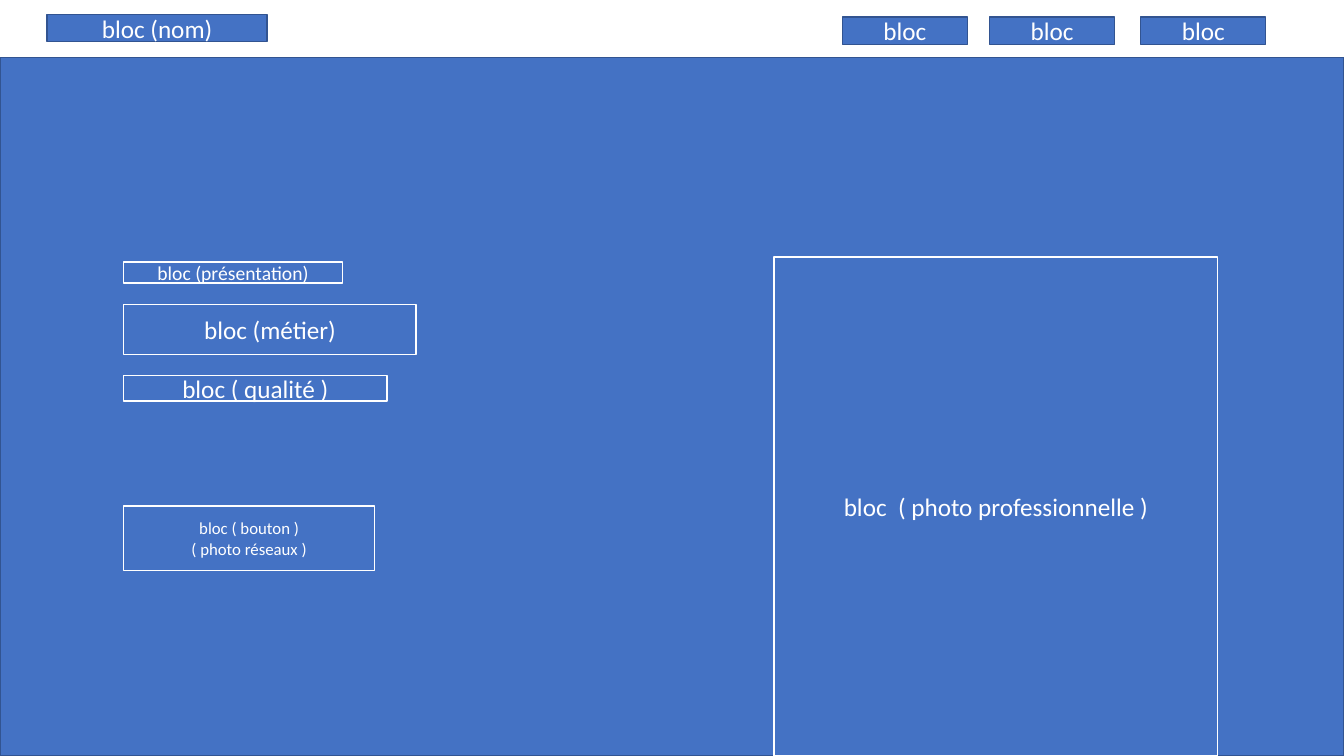
from dataclasses import dataclass

import pptx
import pptx.dml.color
import pptx.enum.shapes
import pptx.enum.text
import pptx.util

Cm = pptx.util.Cm
Pt = pptx.util.Pt


@dataclass(frozen=True)
class Theme:
    font: str = "Calibri"
    blue: str = "4472C4"
    navy: str = "325491"
    white: str = "FFFFFF"
    large: int = 18
    medium: int = 14
    small: int = 12
    border: int = 1


@dataclass(frozen=True)
class Box:
    left: float
    top: float
    width: float
    height: float

    def inner(self, left, top, width, height):
        return Box(self.left + left, self.top + top, width, height)


THEME = Theme()
PAGE_BOX = Box(0, 0, 33.87, 19.05)
HEADER_HEIGHT = 1.45


def color(name):
    return pptx.dml.color.RGBColor.from_string(name)


def add_block(page, box, lines, border, size=THEME.large):
    block = page.shapes.add_shape(
        pptx.enum.shapes.MSO_SHAPE.RECTANGLE,
        Cm(box.left), Cm(box.top), Cm(box.width), Cm(box.height),
    )
    block.shadow.inherit = False
    block.fill.solid()
    block.fill.fore_color.rgb = color(THEME.blue)
    block.line.color.rgb = color(border)
    block.line.width = Pt(THEME.border)
    frame = block.text_frame
    frame.word_wrap = True
    frame.vertical_anchor = pptx.enum.text.MSO_ANCHOR.MIDDLE
    for index, line in enumerate(lines):
        para = frame.add_paragraph() if index else frame.paragraphs[0]
        para.alignment = pptx.enum.text.PP_ALIGN.CENTER
        span = para.add_run()
        span.text = line
        span.font.name = THEME.font
        span.font.size = Pt(size)
        span.font.color.rgb = color(THEME.white)


def add_header(page, box):
    add_block(page, box.inner(1.19, 0.36, 5.54, 0.69), ["bloc (nom)"], THEME.navy)
    for left in (21.23, 24.94, 28.75):
        add_block(page, box.inner(left, 0.43, 3.15, 0.69), ["bloc"], THEME.navy)


def add_introduction(page, box):
    blocks = [
        (0, 5.51, 0.53, ["bloc (présentation)"], THEME.medium),
        (1.07, 7.37, 1.27, ["bloc (métier)"], THEME.large),
        (2.87, 6.63, 0.64, ["bloc ( qualité )"], THEME.large),
        (6.15, 6.32, 1.63, ["bloc ( bouton )", "( photo réseaux )"], THEME.small),
    ]
    for top, width, height, lines, size in blocks:
        add_block(page, box.inner(0, top, width, height), lines, THEME.white, size)


def add_hero(page, box):
    add_block(page, box, [], THEME.navy)
    photo_top = 5.03
    photo = box.inner(19.51, photo_top, 11.18, box.height - photo_top)
    add_block(page, photo, ["bloc  ( photo professionnelle )"], THEME.white)
    add_introduction(page, box.inner(3.12, 5.15, 7.37, 7.78))


def main():
    deck = pptx.Presentation()
    deck.slide_width = Cm(PAGE_BOX.width)
    deck.slide_height = Cm(PAGE_BOX.height)
    page = deck.slides.add_slide(deck.slide_layouts.get_by_name("Blank"))
    add_header(page, PAGE_BOX.inner(0, 0, PAGE_BOX.width, HEADER_HEIGHT))
    hero_height = PAGE_BOX.height - HEADER_HEIGHT
    add_hero(page, PAGE_BOX.inner(0, HEADER_HEIGHT, PAGE_BOX.width, hero_height))
    deck.save("out.pptx")


if __name__ == "__main__":
    main()
